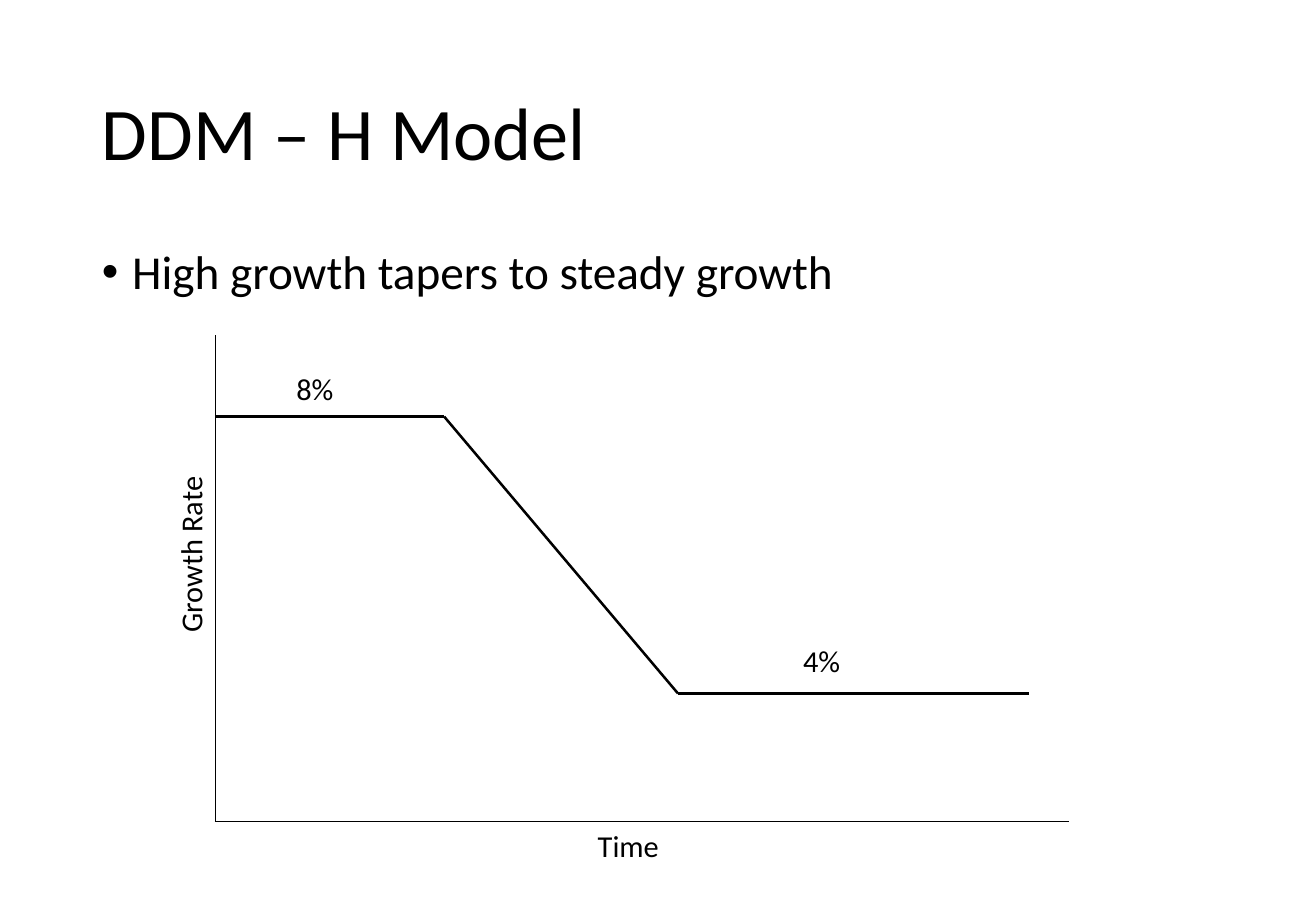
from dataclasses import dataclass

import lxml.etree
import pptx
import pptx.dml.color
import pptx.enum.shapes
import pptx.enum.text
import pptx.oxml.ns
import pptx.util

SLIDE_WIDTH = pptx.util.Inches(10.83)
SLIDE_HEIGHT = pptx.util.Inches(7.5)
FONT_NAME = "Calibri"
BLACK = "000000"

# Positions are percentages of the slide's width (x) and height (y).
MARGIN, CONTENT_WIDTH = 6.83, 86.24
AXIS_LEFT, AXIS_RIGHT = 16.34, 81.26
AXIS_TOP, AXIS_BOTTOM = 36.8, 90.13
HIGH_GROWTH, STEADY_GROWTH = 45.73, 76.13
TAPER_START, TAPER_END, STEADY_END = 33.75, 51.52, 78.21
LABEL_HEIGHT = 5.33


@dataclass(frozen=True)
class TextItem:
    text: str
    left: float
    top: float
    width: float
    height: float = LABEL_HEIGHT
    size: float = 18
    rotation: float = 0
    wrap: bool = False
    middle: bool = False
    bullet: bool = False
    line_spacing: float = 1.0


@dataclass(frozen=True)
class Line:
    start: tuple[float, float]
    end: tuple[float, float]
    weight: float


TEXTS = [
    TextItem("DDM – H Model", MARGIN, 5.33, CONTENT_WIDTH, 19.33, size=44,
             wrap=True, middle=True, line_spacing=0.9),
    TextItem("High growth tapers to steady growth", MARGIN, 26.67, CONTENT_WIDTH, 63.47,
             size=28, wrap=True, bullet=True, line_spacing=0.9),
    TextItem("Time", 44.51, AXIS_BOTTOM, 7.02),
    TextItem("Growth Rate", 7.39, 57.87, 14.13, rotation=270),
    TextItem("4%", 60.11, 69.87, 6.83),
    TextItem("8%", 21.61, 40, 6.83),
]

LINES = [
    Line((AXIS_LEFT, AXIS_TOP), (AXIS_LEFT, AXIS_BOTTOM), 0.5),
    Line((AXIS_LEFT, AXIS_BOTTOM), (AXIS_RIGHT, AXIS_BOTTOM), 0.5),
    Line((AXIS_LEFT, HIGH_GROWTH), (TAPER_START, HIGH_GROWTH), 1.5),
    Line((TAPER_START, HIGH_GROWTH), (TAPER_END, STEADY_GROWTH), 1.5),
    Line((TAPER_END, STEADY_GROWTH), (STEADY_END, STEADY_GROWTH), 1.5),
]


def across(share: float) -> int:
    return round(SLIDE_WIDTH * share / 100)


def down(share: float) -> int:
    return round(SLIDE_HEIGHT * share / 100)


def color(value: str) -> pptx.dml.color.RGBColor:
    return pptx.dml.color.RGBColor.from_string(value)


def add_bullet(paragraph) -> None:
    properties = paragraph._p.get_or_add_pPr()
    indent = pptx.util.Inches(0.25)
    properties.set("marL", str(indent))
    properties.set("indent", str(-indent))
    font = lxml.etree.SubElement(properties, pptx.oxml.ns.qn("a:buFont"))
    font.set("typeface", "Arial")
    bullet = lxml.etree.SubElement(properties, pptx.oxml.ns.qn("a:buChar"))
    bullet.set("char", "•")


def add_text(slide, item: TextItem) -> None:
    shape = slide.shapes.add_textbox(across(item.left), down(item.top),
                                     across(item.width), down(item.height))
    shape.rotation = item.rotation
    frame = shape.text_frame
    frame.word_wrap = item.wrap
    if item.middle:
        frame.vertical_anchor = pptx.enum.text.MSO_ANCHOR.MIDDLE
    paragraph = frame.paragraphs[0]
    paragraph.text = item.text
    paragraph.line_spacing = item.line_spacing
    paragraph.font.name = FONT_NAME
    paragraph.font.size = pptx.util.Pt(item.size)
    paragraph.font.color.rgb = color(BLACK)
    if item.bullet:
        paragraph.space_before = pptx.util.Pt(10)
        add_bullet(paragraph)


def add_line(slide, line: Line) -> None:
    connector = slide.shapes.add_connector(
        pptx.enum.shapes.MSO_CONNECTOR.STRAIGHT,
        across(line.start[0]), down(line.start[1]),
        across(line.end[0]), down(line.end[1]))
    connector.line.color.rgb = color(BLACK)
    connector.line.width = pptx.util.Pt(line.weight)
    lxml.etree.SubElement(connector._element.spPr, pptx.oxml.ns.qn("a:effectLst"))


def main() -> None:
    presentation = pptx.Presentation()
    presentation.slide_width = SLIDE_WIDTH
    presentation.slide_height = SLIDE_HEIGHT
    slide = presentation.slides.add_slide(presentation.slide_layouts[6])
    for item in TEXTS:
        add_text(slide, item)
    for line in LINES:
        add_line(slide, line)
    presentation.save("out.pptx")


if __name__ == "__main__":
    main()
